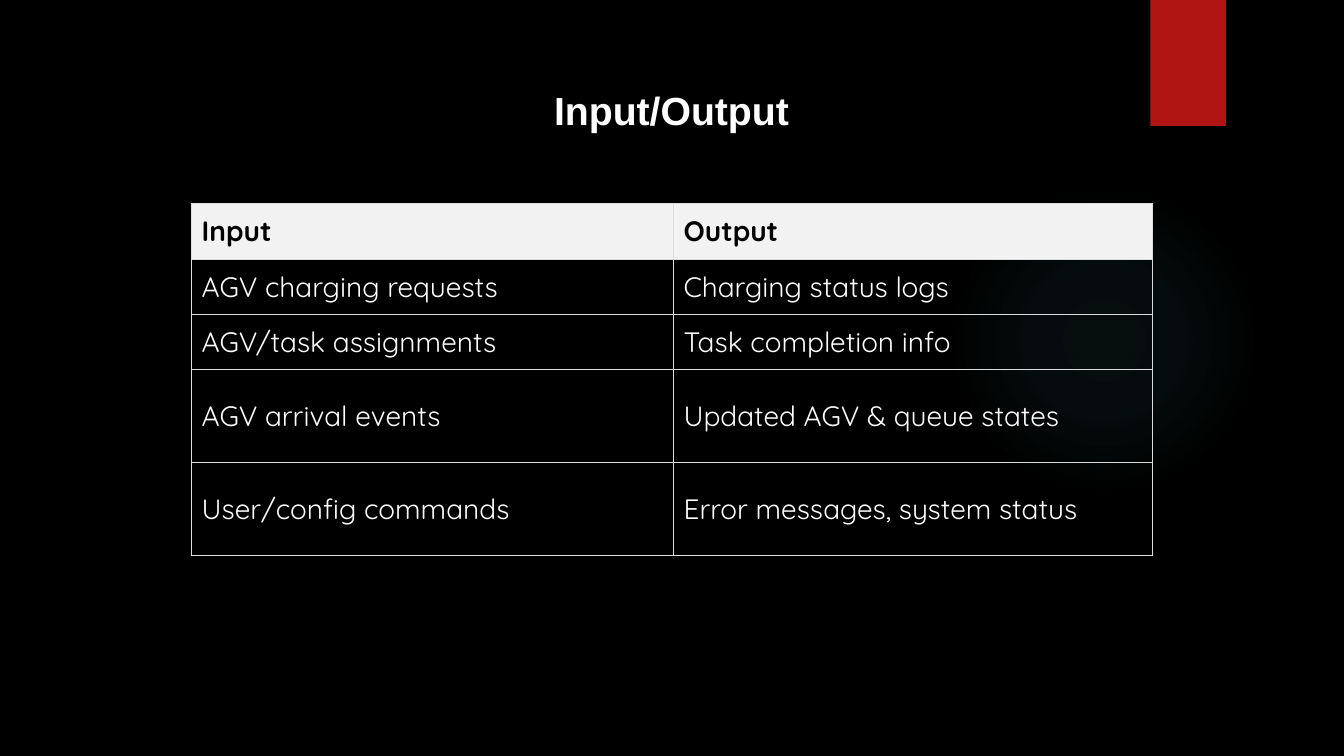
from dataclasses import dataclass

from lxml import etree
from pptx import Presentation
from pptx import util as u
from pptx.dml.color import RGBColor
from pptx.enum import shapes, text
from pptx.oxml import ns, parse_xml
from pptx.shapes.autoshape import Shape
from pptx.slide import Slide
from pptx.table import _Cell
from pptx.text.text import TextFrame


@dataclass(frozen=True)
class Theme:
    background: str = "000000"
    light: str = "FFFFFF"
    dark: str = "000000"
    header: str = "F2F2F2"
    border: str = "DDDDDD"
    accent: str = "B01513"
    glow: str = "50B9C1"
    title_font: str = "Arial"
    table_font: str = "Quicksand"
    title_size: int = 28
    table_size: int = 20
    border_width: float = 0.5


@dataclass(frozen=True)
class Box:
    left: float
    top: float
    width: float
    height: float

    def lengths(self) -> tuple[u.Length, ...]:
        return tuple(u.Inches(n) for n in (self.left, self.top, self.width, self.height))


@dataclass(frozen=True)
class TableRow:
    height: float
    input: str
    output: str


@dataclass(frozen=True)
class GlowStop:
    position: int
    opacity: int


THEME = Theme()
GLOW_BOX = Box(9.41, 1.83, 3.08, 3.08)
TAB_BOX = Box(11.41, 0, 0.75, 1.25)
TITLE_BOX = Box(2.9, 0.81, 7.52, 0.57)
TABLE_BOX = Box(1.9, 2.02, 9.53, 3.46)
COLUMN_WIDTHS = (4.78, 4.75)
GLOW_STOPS = (GlowStop(0, 7), GlowStop(36, 6), GlowStop(69, 0))
ROWS = (
    TableRow(0.54, "Input", "Output"),
    TableRow(0.54, "AGV charging requests", "Charging status logs"),
    TableRow(0.54, "AGV/task assignments", "Task completion info"),
    TableRow(0.92, "AGV arrival events", "Updated AGV & queue states"),
    TableRow(0.92, "User/config commands", "Error messages, system status"),
)


def write_text(frame: TextFrame, words: str, *, font: str, size: int, color: str,
               bold: bool = False, align: text.PP_ALIGN = text.PP_ALIGN.LEFT) -> None:
    paragraph = frame.paragraphs[0]
    paragraph.alignment = align
    run = paragraph.add_run()
    run.text = words
    run.font.name = font
    run.font.size = u.Pt(size)
    run.font.bold = bold
    run.font.color.rgb = RGBColor.from_string(color)


def add_plain_shape(slide: Slide, kind: shapes.MSO_SHAPE, box: Box, color: str) -> Shape:
    shape = slide.shapes.add_shape(kind, *box.lengths())
    shape.shadow.inherit = False
    shape.fill.solid()
    shape.fill.fore_color.rgb = RGBColor.from_string(color)
    shape.line.fill.background()
    return shape


def add_glow(slide: Slide) -> None:
    shape = add_plain_shape(slide, shapes.MSO_SHAPE.OVAL, GLOW_BOX, THEME.glow)
    stops = "".join(
        f'<a:gs pos="{stop.position * 1000}"><a:srgbClr val="{THEME.glow}">'
        f'<a:alpha val="{stop.opacity * 1000}"/></a:srgbClr></a:gs>'
        for stop in GLOW_STOPS
    )
    gradient = parse_xml(
        f'<a:gradFill {ns.nsdecls("a")}><a:gsLst>{stops}</a:gsLst><a:path path="circle">'
        '<a:fillToRect l="50000" t="50000" r="50000" b="50000"/></a:path></a:gradFill>'
    )
    properties = shape.element.spPr
    properties.replace(properties.find(ns.qn("a:solidFill")), gradient)


def add_title(slide: Slide) -> None:
    frame = slide.shapes.add_textbox(*TITLE_BOX.lengths()).text_frame
    frame.word_wrap = True
    write_text(frame, "Input/Output", font=THEME.title_font, size=THEME.title_size,
               color=THEME.light, bold=True, align=text.PP_ALIGN.CENTER)


def draw_borders(cell: _Cell) -> None:
    properties = cell._tc.get_or_add_tcPr()
    for index, side in enumerate("LRTB"):
        line = etree.Element(ns.qn(f"a:ln{side}"), w=str(u.Pt(THEME.border_width)))
        fill = etree.SubElement(line, ns.qn("a:solidFill"))
        etree.SubElement(fill, ns.qn("a:srgbClr"), val=THEME.border)
        properties.insert(index, line)


def fill_cell(cell: _Cell, words: str, is_header: bool) -> None:
    cell.vertical_anchor = text.MSO_ANCHOR.MIDDLE
    cell.margin_left = cell.margin_right = u.Inches(0.1)
    cell.margin_top = cell.margin_bottom = u.Inches(0.1)
    if is_header:
        cell.fill.solid()
        cell.fill.fore_color.rgb = RGBColor.from_string(THEME.header)
    else:
        cell.fill.background()
    draw_borders(cell)
    write_text(cell.text_frame, words, font=THEME.table_font, size=THEME.table_size,
               color=THEME.dark if is_header else THEME.light, bold=is_header)


def add_io_table(slide: Slide) -> None:
    table = slide.shapes.add_table(len(ROWS), len(COLUMN_WIDTHS), *TABLE_BOX.lengths()).table
    table.horz_banding = False
    for column, width in zip(table.columns, COLUMN_WIDTHS):
        column.width = u.Inches(width)
    for index, row in enumerate(ROWS):
        table.rows[index].height = u.Inches(row.height)
        for cell, words in zip(table.rows[index].cells, (row.input, row.output)):
            fill_cell(cell, words, is_header=index == 0)


def main() -> None:
    presentation = Presentation()
    presentation.slide_width = u.Inches(13.33)
    presentation.slide_height = u.Inches(7.5)
    slide = presentation.slides.add_slide(presentation.slide_layouts[6])
    slide.background.fill.solid()
    slide.background.fill.fore_color.rgb = RGBColor.from_string(THEME.background)
    add_glow(slide)
    add_plain_shape(slide, shapes.MSO_SHAPE.RECTANGLE, TAB_BOX, THEME.accent)
    add_io_table(slide)
    add_title(slide)
    presentation.save("out.pptx")


if __name__ == "__main__":
    main()
